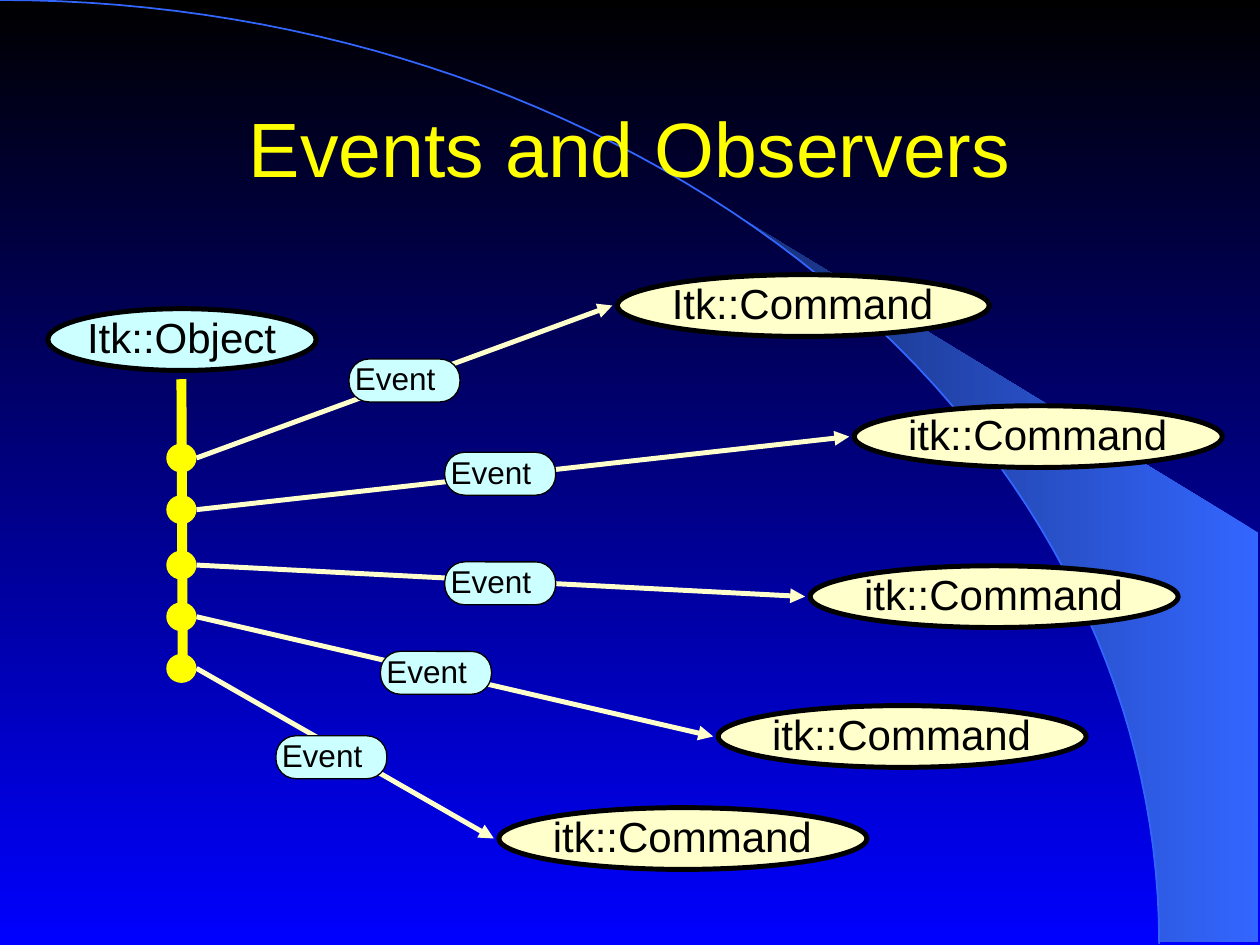
from dataclasses import dataclass
from math import acos, cos, pi, sin

from lxml import etree
from pptx import Presentation
from pptx.dml.color import RGBColor
from pptx.enum.shapes import MSO_CONNECTOR, MSO_SHAPE
from pptx.enum.text import MSO_ANCHOR, MSO_AUTO_SIZE, PP_ALIGN
from pptx.oxml.ns import qn
from pptx.util import Inches, Pt

OVAL, PILL = MSO_SHAPE.OVAL, MSO_SHAPE.ROUNDED_RECTANGLE
LINE = MSO_CONNECTOR.STRAIGHT
MID, GROW = MSO_ANCHOR.MIDDLE, MSO_AUTO_SIZE.SHAPE_TO_FIT_TEXT
LEFT, CENTER = PP_ALIGN.LEFT, PP_ALIGN.CENTER
COLS, ROWS = 100, 75


@dataclass(frozen=True)
class Theme:
    font: str = "Arial"
    black: str = "000000"
    deep: str = "0000FF"
    glow: str = "3366FF"
    dusk: str = "172F75"
    gold: str = "FFFF00"
    ice: str = "CCFFFF"
    cream: str = "FFFFCC"
    head: int = 44
    node: int = 24
    note: int = 18
    thin: float = 0.75
    hair: float = 1
    bold: float = 2.83
    stem: float = 5.67


def rgb(code):
    return RGBColor.from_string(code)


def blend(fill, first, last, angle):
    fill.gradient()
    fill.gradient_angle = angle
    for stop, code in zip(fill.gradient_stops, (first, last)):
        stop.color.rgb = rgb(code)


def write(frame, text, size, color, font, align=LEFT, wrap=False, pad=(0, 0)):
    frame.word_wrap = wrap
    frame.auto_size = GROW
    frame.vertical_anchor = MID
    frame.margin_left = frame.margin_right = Inches(pad[0])
    frame.margin_top = frame.margin_bottom = Inches(pad[1])
    para = frame.paragraphs[0]
    para.alignment = align
    para.line_spacing = 0.93
    run = para.add_run()
    run.text = text
    run.font.size = Pt(size)
    run.font.name = font
    run.font.color.rgb = rgb(color)


class Deck:
    def __init__(self, theme):
        self.theme = theme
        self.show = Presentation()
        self.show.slide_width, self.show.slide_height = Inches(10), Inches(7.5)
        self.slide = self.show.slides.add_slide(self.show.slide_layouts[5])
        self.shapes = self.slide.shapes
        blend(self.slide.background.fill, theme.black, theme.deep, 270)

    def grid(self, *cells):
        """Turn column, row, column, row ... into lengths."""
        units = self.show.slide_width / COLS, self.show.slide_height / ROWS
        return [round(n * units[i % 2]) for i, n in enumerate(cells)]

    def title(self, text, *box):
        item = self.shapes.title
        item.left, item.top, item.width, item.height = self.grid(*box)
        write(item.text_frame, text, self.theme.head, self.theme.gold,
              self.theme.font, align=CENTER, wrap=True, pad=(0.1, 0.05))
        self.shapes._spTree.append(item._element)

    def curve(self, points, close):
        spots = [self.grid(*p) for p in points]
        pen = self.shapes.build_freeform(*spots[0], scale=1.0)
        pen.add_line_segments(spots[1:], close=close)
        item = pen.convert_to_shape()
        item.shadow.inherit = False
        return item

    def beam(self, points):
        item = self.curve(points, True)
        blend(item.fill, self.theme.glow, self.theme.dusk, 180)
        item.line.fill.background()

    def arc(self, points):
        item = self.curve(points, False)
        item.fill.background()
        item.line.color.rgb = rgb(self.theme.glow)
        item.line.width = Pt(self.theme.hair)

    def shape(self, kind, box, fill, text=None, size=None, edge=None):
        item = self.shapes.add_shape(kind, *self.grid(*box))
        item.shadow.inherit = False
        item.fill.solid()
        item.fill.fore_color.rgb = rgb(fill)
        if edge:
            item.line.color.rgb = rgb(self.theme.black)
            item.line.width = Pt(edge)
        else:
            item.line.fill.background()
        if text:
            write(item.text_frame, text, size, self.theme.black, self.theme.font)
        return item

    def node(self, text, box, fill):
        self.shape(OVAL, box, fill, text, self.theme.node, self.theme.bold)

    def pill(self, text, box):
        item = self.shape(PILL, box, self.theme.ice, text,
                          self.theme.note, self.theme.thin)
        item.adjustments[0] = 0.465

    def line(self, ends, color, width, arrow=False):
        item = self.shapes.add_connector(LINE, *self.grid(*ends))
        item.line.color.rgb = rgb(color)
        item.line.width = Pt(width)
        props = item._element.spPr
        if arrow:
            tip = etree.SubElement(props.find(qn("a:ln")), qn("a:tailEnd"))
            tip.set("type", "triangle")
        etree.SubElement(props, qn("a:effectLst"))


def sweep(start, end, steps, wide=92, high=74.9):
    """Points on the quarter ellipse around the lower left corner."""
    turns = [start + (end - start) * i / steps for i in range(steps + 1)]
    return [(wide * cos(t), high * (1 - sin(t))) for t in turns]


def main():
    theme = Theme()
    deck = Deck(theme)

    # Backdrop: beam of light and horizon
    rim = sweep(acos(58.9 / 92), 0, 24)
    deck.beam([(92, 74.8), (99.9, 74.8), (99.9, 42.3)] + rim[:-1])
    deck.arc(sweep(0, pi / 2, 62))

    deck.title("Events and Observers", 7.5, 5.8, 85, 12.5)

    # Subject, then observers with their arrows
    deck.node("Itk::Object", (3.8, 24.5, 21.3, 4.9), theme.ice)
    tall, dot = 4.9, (2.4, 2.3)
    stem = 13.2
    # Each: name, left, top, width; dot top; event left, top
    links = [
        ("Itk::Command", 49, 21.8, 29.5, 35.2, 27.7, 28.5),
        ("itk::Command", 67.8, 32.2, 29.2, 39.3, 35.3, 35.9),
        ("itk::Command", 64.3, 44.9, 29.2, 43.7, 35.3, 44.6),
        ("itk::Command", 57, 56, 29.2, 47.8, 30.2, 51.7),
        ("itk::Command", 39.6, 64.1, 29.2, 51.9, 21.9, 58.4),
    ]
    for name, left, top, wide, knot, *_ in links:
        deck.node(name, (left, top, wide, tall), theme.cream)
        ends = (stem + dot[0], knot + dot[1] / 2, left - 0.4, top + tall / 2)
        deck.line(ends, theme.cream, theme.bold, arrow=True)

    # Stem with one dot per observer
    deck.line((14.4, 30.1, 14.5, 52.4), theme.gold, theme.stem)
    for link in links:
        deck.shape(OVAL, (stem, link[4], *dot), theme.gold)

    # Event labels
    for *_, left, top in links:
        deck.pill("Event", (left, top, 8.8, 3.4))

    deck.show.save("out.pptx")


if __name__ == "__main__":
    main()
